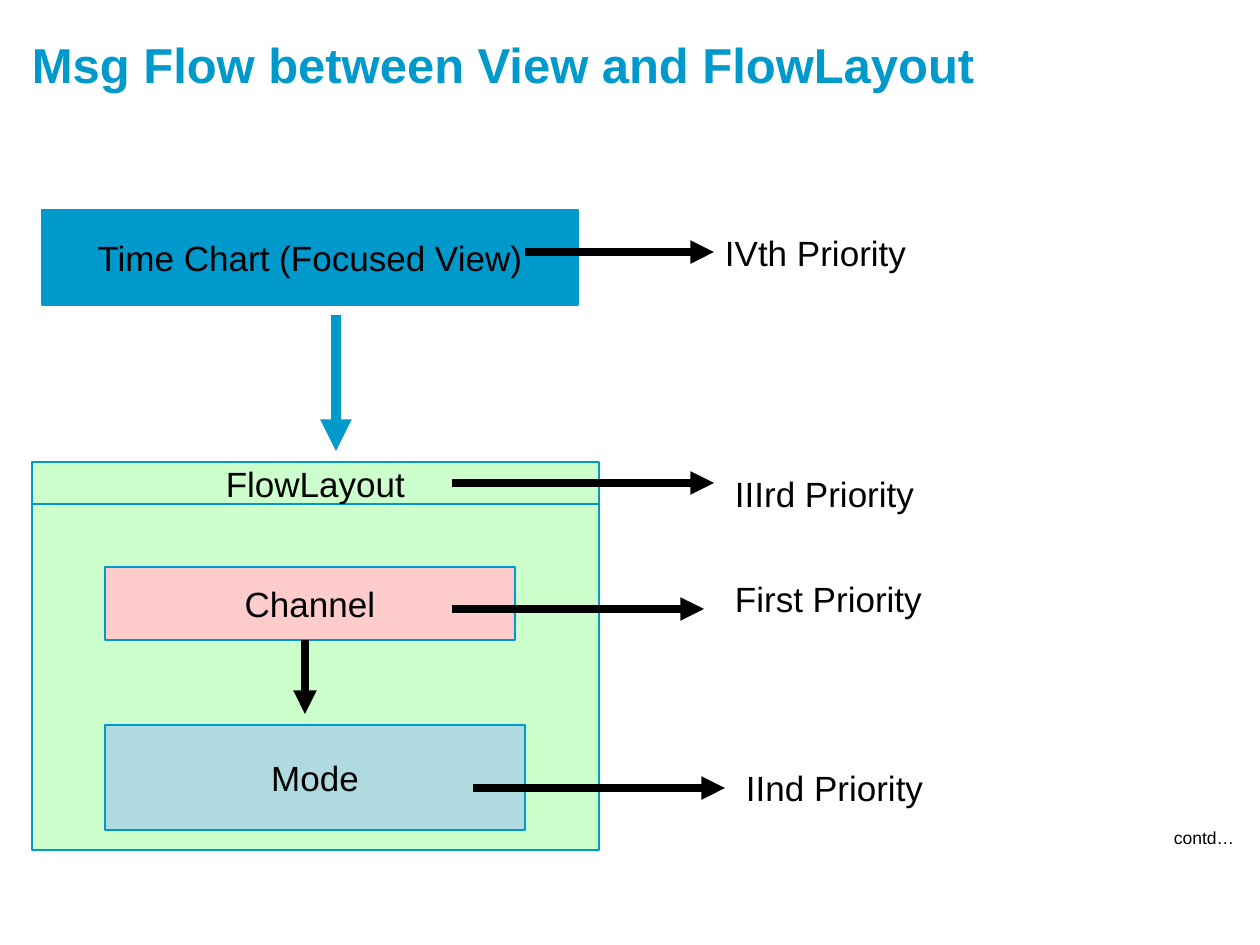
from lxml.etree import SubElement
from pptx import Presentation
from pptx.dml.color import RGBColor
from pptx.enum.shapes import MSO_CONNECTOR, MSO_SHAPE
from pptx.enum.text import MSO_ANCHOR, PP_ALIGN
from pptx.oxml.ns import qn
from pptx.util import Pt

EMU_PER_PX = 914400 / 126
BLUE = "0099CC"
BLACK = "000000"
GREEN = "CCFFCC"


def px(length):
    return round(length * EMU_PER_PX)


def color(hex_string):
    return RGBColor.from_string(hex_string)


def set_text(shape, text, size, hex_string=BLACK, align=PP_ALIGN.LEFT,
             anchor=MSO_ANCHOR.TOP, wrap=True, bold=False):
    frame = shape.text_frame
    frame.margin_left = frame.margin_top = frame.margin_right = frame.margin_bottom = 0
    frame.vertical_anchor = anchor
    frame.word_wrap = wrap
    frame.text = text
    paragraph = frame.paragraphs[0]
    paragraph.alignment = align
    paragraph.font.name = "Arial"
    paragraph.font.size = Pt(size)
    paragraph.font.bold = bold
    paragraph.font.color.rgb = color(hex_string)


def add_label(slide, left, top, text, width=368, height=42, size=20):
    label = slide.shapes.add_textbox(px(left), px(top), px(width), px(height))
    set_text(label, text, size)


def add_block(slide, left, top, width, height, fill, text=None):
    block = slide.shapes.add_shape(
        MSO_SHAPE.RECTANGLE, px(left), px(top), px(width), px(height))
    block.shadow.inherit = False
    block.fill.solid()
    block.fill.fore_color.rgb = color(fill)
    block.line.color.rgb = color(BLUE)
    block.line.width = Pt(1)
    if text:
        set_text(block, text, 20, align=PP_ALIGN.CENTER,
                 anchor=MSO_ANCHOR.MIDDLE, wrap=False)


def add_arrow(slide, left, top, across=0, down=0, hex_string=BLACK, width=4.5):
    arrow = slide.shapes.add_connector(
        MSO_CONNECTOR.STRAIGHT, px(left), px(top), px(left + across), px(top + down))
    arrow.line.color.rgb = color(hex_string)
    arrow.line.width = Pt(width)
    SubElement(arrow.line._get_or_add_ln(), qn("a:tailEnd"), type="triangle")
    SubElement(arrow._element.spPr, qn("a:effectLst"))


def add_title(slide, left, top, width, height):
    title = slide.shapes.title
    title.left, title.top = px(left), px(top)
    title.width, title.height = px(width), px(height)
    set_text(title, "Msg Flow between View and FlowLayout", 28, BLUE,
             anchor=MSO_ANCHOR.MIDDLE, bold=True)


def add_focused_view(slide, left, top, width, height):
    add_block(slide, left, top, width, height, BLUE, "Time Chart (Focused View)")
    add_arrow(slide, left + 294, top + 105, down=136, hex_string=BLUE, width=6)
    add_arrow(slide, left + 483, top + 42, across=189)
    add_label(slide, left + 683, top + 21, "IVth Priority")


def add_flow_layout(slide, left, top, width, height):
    header = 42
    add_block(slide, left, top + header, width, height - header, GREEN)
    add_block(slide, left, top, width, header, GREEN, "FlowLayout")
    add_block(slide, left + 73, top + 105, 410, 73, "FFCCCC", "Channel")
    add_block(slide, left + 73, top + 263, 420, 105, "AEDAE0", "Mode")
    add_arrow(slide, left + 273, top + 178, down=74)
    priorities = [
        (420, 21, 262, 703, 10, "IIIrd Priority"),
        (420, 147, 252, 703, 115, "First Priority"),
        (441, 326, 252, 714, 304, "IInd Priority"),
    ]
    for arrow_left, arrow_top, across, label_left, label_top, text in priorities:
        add_arrow(slide, left + arrow_left, top + arrow_top, across=across)
        add_label(slide, left + label_left, top + label_top, text)


def main():
    presentation = Presentation()
    presentation.slide_width = px(1260)
    presentation.slide_height = px(945)
    slide = presentation.slides.add_slide(presentation.slide_layouts[5])
    add_title(slide, 32, 32, 1198, 63)
    add_focused_view(slide, 42, 210, 536, 95)
    add_flow_layout(slide, 32, 462, 567, 388)
    add_label(slide, 1174, 827, "contd…", width=73, height=21, size=10)
    presentation.save("out.pptx")


if __name__ == "__main__":
    main()
